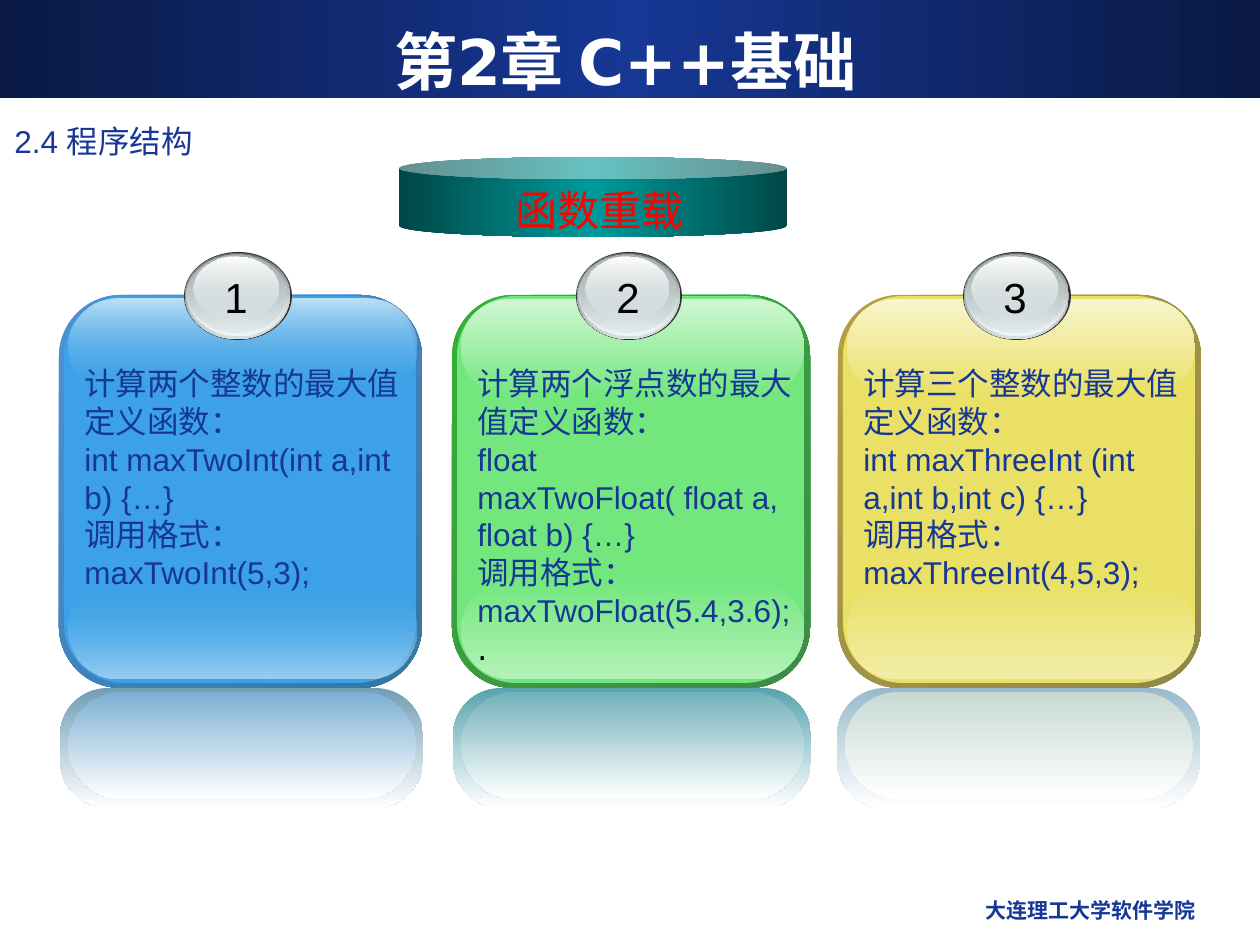
from dataclasses import dataclass

from lxml.etree import SubElement
from pptx import Presentation
from pptx.dml.color import RGBColor
from pptx.enum.shapes import MSO_SHAPE
from pptx.enum.text import MSO_ANCHOR, MSO_AUTO_SIZE, PP_ALIGN
from pptx.oxml.ns import qn
from pptx.util import Emu, Pt


@dataclass(frozen=True)
class Theme:
    white: str = "FFFFFF"
    black: str = "000000"
    navy: str = "163794"
    dark_navy: str = "0A1944"
    red: str = "FF0000"
    teal: str = "009999"
    dark_teal: str = "004747"
    badge_rim: str = "333333"
    badge_shade: str = "636869"
    badge_grey: str = "AAB2B3"
    badge_silver: str = "D6E1E2"
    badge_light: str = "F1F5F5"
    sans: str = "Arial"
    wide: str = "DejaVu Sans"
    title_size: int = 36
    heading_size: int = 24
    body_size: int = 18
    footer_size: int = 12


THEME = Theme()
PX = 914400 / 126

TITLE = "第2章 C++基础"
SECTION = "2.4 程序结构"
TOPIC = "函数重载"
FOOTER = "大连理工大学软件学院"

# Gradient stops are (position, colour) or (position, colour, opacity percent).
CARDS = [
    {
        "left": 59, "width": 363, "reflection_shift": 1,
        "frame": ("4E91D4", "3477A4"), "face": "3CA1E6",
        "top_glow": [(0, "BEE0F7"), (100, "3CA1E6", 0)],
        "bottom_glow": [(0, "3CA1E6", 0), (100, "9BCFF2")],
        "reflection": ("729EB4", "7DAFD4"),
        "lines": ["计算两个整数的最大值定义函数：", "int maxTwoInt(int a,int b) {…}",
                  "调用格式： maxTwoInt(5,3);"],
        "ending": "",
    },
    {
        "left": 452, "width": 358, "reflection_shift": 1,
        "frame": ("34B034", "3F8B4A"), "face": "73E77E",
        "top_glow": [(0, "D0F7D4"), (100, "73E77E")],
        "bottom_glow": [(0, "73E77E"), (100, "B3F2B9")],
        "reflection": ("58A4AE", "72B2BB"),
        "lines": ["计算两个浮点数的最大值定义函数：", "float maxTwoFloat( float a, float b) {…}",
                  "调用格式： maxTwoFloat(5.4,3.6);"],
        "ending": ".",
    },
    {
        "left": 838, "width": 363, "reflection_shift": -1,
        "frame": ("B59F43", "8F8849"), "face": "E9E065",
        "top_glow": [(0, "F8F5CC"), (100, "E9E065")],
        "bottom_glow": [(0, "E9E065"), (100, "F2EDA6")],
        "reflection": ("99BACC", "C8DAD4"),
        "lines": ["计算三个整数的最大值定义函数：", "int maxThreeInt (int a,int b,int c) {…}",
                  "调用格式： maxThreeInt(4,5,3);"],
        "ending": "",
    },
]

# Each layer: left inset, top, width change, height, fill.
BADGE_LAYERS = [
    (0, 252, 0, 88, THEME.badge_rim),
    (1, 253, -3, 86, [(0, THEME.badge_shade), (100, THEME.badge_silver)]),
    (3, 253, -6, 83, [(0, THEME.badge_silver, 0), (100, THEME.badge_light)]),
    (4, 255, -11, 78, [(0, THEME.badge_grey), (100, THEME.badge_silver, 48)]),
    (9, 257, -23, 63, [(0, THEME.white), (100, THEME.badge_silver, 38)]),
]


def to_emu(*lengths):
    return [Emu(round(length * PX)) for length in lengths]


def fill_gradient(shape, stops, angle):
    """Fill with a linear gradient; the angle runs clockwise from left to right."""
    shape.fill.gradient()
    gradient = shape.fill._xPr.find(qn("a:gradFill"))
    for child in list(gradient):
        gradient.remove(child)
    stop_list = SubElement(gradient, qn("a:gsLst"))
    for position, color, *opacity in stops:
        stop = SubElement(stop_list, qn("a:gs"), pos=str(position * 1000))
        color_element = SubElement(stop, qn("a:srgbClr"), val=color)
        if opacity:
            SubElement(color_element, qn("a:alpha"), val=str(opacity[0] * 1000))
    SubElement(gradient, qn("a:lin"), ang=str(angle * 60000), scaled="0")


def add_filled(shapes, kind, box, fill, angle=90, adjustment=None):
    shape = shapes.add_shape(kind, *to_emu(*box))
    shape.shadow.inherit = False
    shape.line.fill.background()
    if adjustment is not None:
        shape.adjustments[0] = adjustment
    if isinstance(fill, str):
        shape.fill.solid()
        shape.fill.fore_color.rgb = RGBColor.from_string(fill)
    else:
        fill_gradient(shape, fill, angle)


def add_run(paragraph, text, size, color, font, bold=False):
    run = paragraph.add_run()
    run.text = text
    run.font.size = Pt(size)
    run.font.name = font
    run.font.bold = bold
    run.font.color.rgb = RGBColor.from_string(color)


def add_text(shapes, box, lines, size, color, font=THEME.sans, bold=False,
             align=PP_ALIGN.LEFT, anchor=MSO_ANCHOR.TOP, wrap=True, grow=False):
    frame = shapes.add_textbox(*to_emu(*box)).text_frame
    frame.word_wrap = wrap
    frame.vertical_anchor = anchor
    frame.auto_size = MSO_AUTO_SIZE.SHAPE_TO_FIT_TEXT if grow else MSO_AUTO_SIZE.NONE
    for index, line in enumerate(lines):
        paragraph = frame.add_paragraph() if index else frame.paragraphs[0]
        paragraph.alignment = align
        add_run(paragraph, line, size, color, font, bold)
    return frame


def add_card(slide, number, card):
    shapes = slide.shapes.add_group_shape().shapes
    left, width = card["left"], card["width"]
    mirror_left = left + card["reflection_shift"]
    outer_fade, inner_fade = card["reflection"]
    rounded_layers = [
        ((left, 295, width, 393), list(zip((0, 100), card["frame"])), 45, 0.17),
        ((left + 5, 296, width - 11, 387), card["face"], 0, 0.17),
        ((left + 9, 581, width - 15, 98), card["bottom_glow"], 90, 0.5),
        ((left + 9, 299, width - 15, 97), card["top_glow"], 90, 0.5),
        ((mirror_left, 688, width, 120), [(0, outer_fade), (100, THEME.white)], 90, 0.4),
        ((mirror_left + 8, 692, width - 15, 107), [(0, inner_fade), (100, THEME.white)], 90, 0.5),
    ]
    for box, fill, angle, adjustment in rounded_layers:
        add_filled(shapes, MSO_SHAPE.ROUNDED_RECTANGLE, box, fill, angle, adjustment)

    badge_width = round(width * 0.297)
    badge_left = left + (width - badge_width) // 2 - 2
    for inset, top, width_change, height, fill in BADGE_LAYERS:
        box = (badge_left + inset, top, badge_width + width_change, height)
        add_filled(shapes, MSO_SHAPE.OVAL, box, fill)
    add_text(shapes, (badge_left + 28, 265, 48, 63), [str(number)], THEME.heading_size,
             THEME.black, align=PP_ALIGN.CENTER, wrap=False, grow=True)

    body = add_text(shapes, (left + 13, 358, width - 17, 315 if card["ending"] else 239),
                    card["lines"], THEME.body_size, THEME.navy, grow=True)
    if card["ending"]:
        add_run(body.paragraphs[-1], card["ending"], THEME.body_size, THEME.black, THEME.wide)


def main():
    presentation = Presentation()
    presentation.slide_width, presentation.slide_height = to_emu(1260, 945)
    slide = presentation.slides.add_slide(presentation.slide_layouts[6])
    shapes = slide.shapes

    banner = [(0, THEME.dark_navy), (50, THEME.navy), (100, THEME.dark_navy)]
    add_filled(shapes, MSO_SHAPE.RECTANGLE, (0, 0, 1260, 98), banner, angle=0)
    add_text(shapes, (809, 891, 399, 44), [FOOTER], THEME.footer_size, THEME.navy,
             THEME.wide, bold=True, align=PP_ALIGN.RIGHT)
    add_text(shapes, (2, 116, 1166, 42), [SECTION], THEME.body_size, THEME.navy)
    add_text(shapes, (42, 21, 1166, 78), [TITLE], THEME.title_size, THEME.white, THEME.wide,
             bold=True, align=PP_ALIGN.CENTER, anchor=MSO_ANCHOR.MIDDLE)

    for number, card in enumerate(CARDS, start=1):
        add_card(slide, number, card)

    drum = [(0, THEME.dark_teal), (50, THEME.teal), (100, THEME.dark_teal)]
    add_filled(shapes, MSO_SHAPE.CAN, (399, 157, 388, 80), drum, angle=0, adjustment=0.28)
    add_text(shapes, (503, 178, 193, 63), [TOPIC], THEME.heading_size, THEME.red,
             wrap=False, grow=True)

    presentation.save("out.pptx")


if __name__ == "__main__":
    main()
